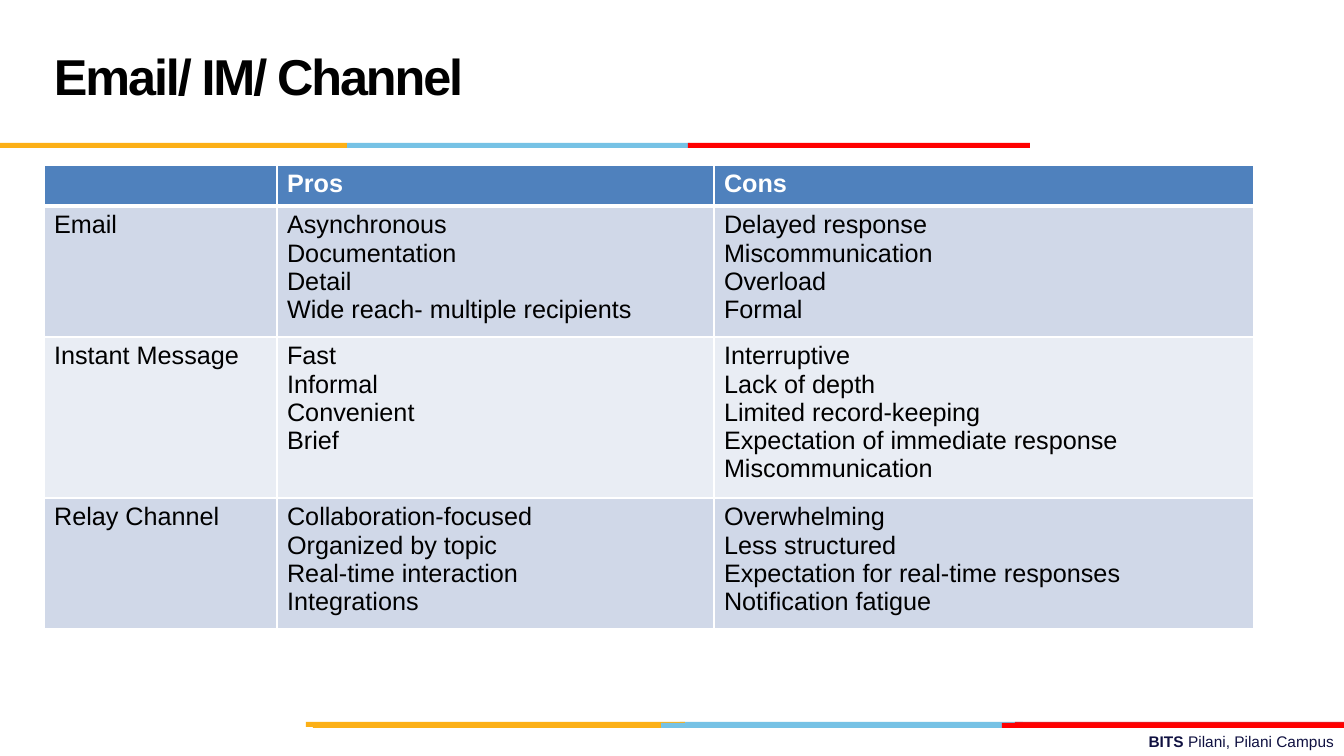
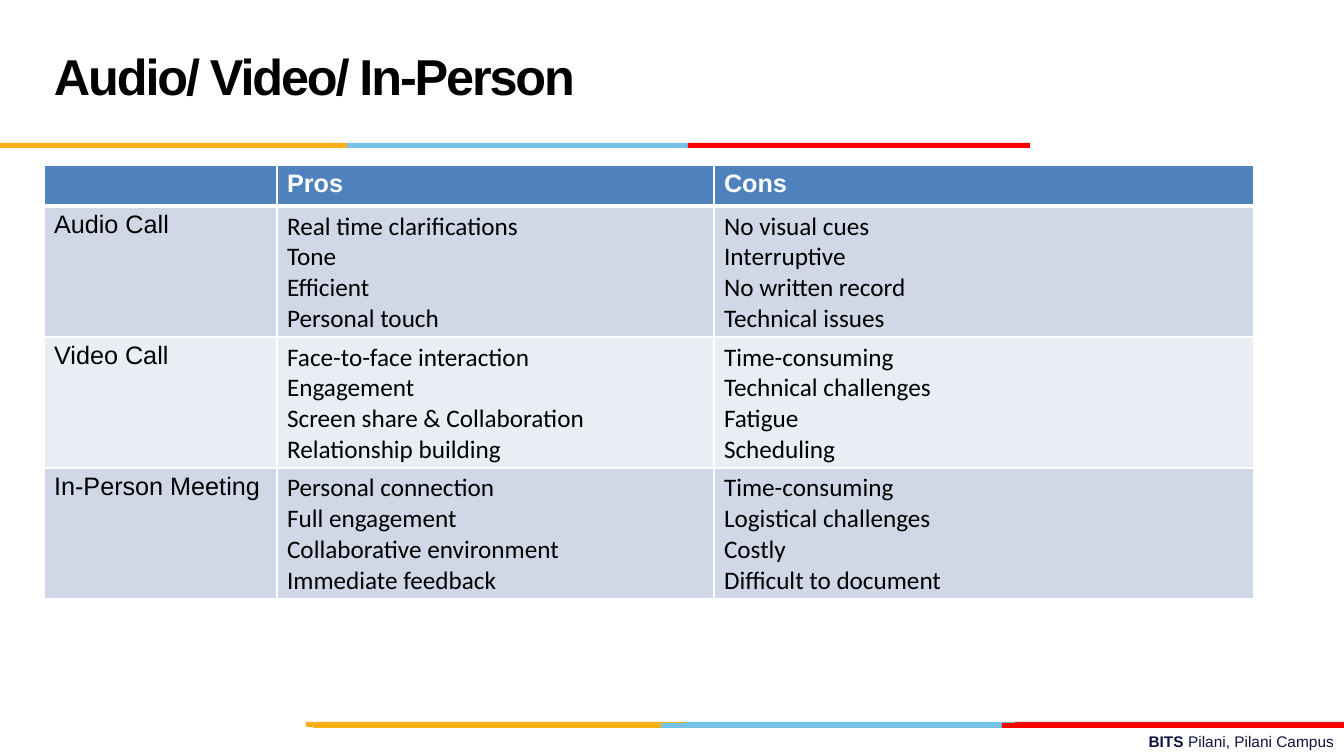
from dataclasses import dataclass

from lxml import etree
from pptx import Presentation
from pptx.dml.color import RGBColor
from pptx.enum.shapes import MSO_SHAPE as Shape
from pptx.enum.text import MSO_ANCHOR as Anchor, PP_ALIGN as Align
from pptx.oxml.ns import qn
from pptx.util import Emu, Pt


@dataclass(frozen=True)
class Theme:
    yellow: str = "FCB017"
    blue: str = "76C2E5"
    red: str = "FF0000"
    dark_red: str = "E31C24"
    black: str = "000000"
    white: str = "FFFFFF"
    navy: str = "101141"
    header: str = "4F81BD"
    bands: tuple = ("D0D8E8", "E9EDF4")
    font: str = "Arial"
    title_size: int = 36
    cell_size: int = 18
    footer_size: int = 11
    title_tracking: int = -150


THEME = Theme()
EMU_PER_PX = 914400 / 100.8
SLIDE_SIZE = (1344, 756)

# Stripe layers from back to front: left, width, colour
RULE_HEIGHT = 5
RULES = [
    (722, [(680, 343, THEME.blue), (1015, 329, THEME.dark_red), (306, 379, THEME.yellow)]),
    (723, [(661, 343, THEME.blue), (313, 348, THEME.yellow), (1002, 342, THEME.red)]),
    (143, [(347, 343, THEME.blue), (0, 347, THEME.yellow), (688, 342, THEME.red)]),
]
FOOTER = [("BITS ", True), ("Pilani, Pilani Campus", False)]
FOOTER_BOX = (482, 727, 862, 29)
TITLE_BOX = (44, 17, 930, 126)

TABLE_LEFT, TABLE_TOP = 44, 165
COLUMN_WIDTHS = (233, 437, 540)
HEADER_HEIGHT = 41
HEADINGS = ("", "Pros", "Cons")

# Each row: medium, pros, cons, height
SLIDES = [
    {
        "title": "Email/ IM/ Channel",
        "list_font": "Arial",
        "rows": [
            ("Email",
             ["Asynchronous", "Documentation", "Detail", "Wide reach- multiple recipients"],
             ["Delayed response", "Miscommunication", "Overload", "Formal"], 131),
            ("Instant Message",
             ["Fast", "Informal", "Convenient", "Brief"],
             ["Interruptive", "Lack of depth", "Limited record-keeping",
              "Expectation of immediate response", "Miscommunication"], 161),
            ("Relay Channel",
             ["Collaboration-focused", "Organized by topic", "Real-time interaction",
              "Integrations"],
             ["Overwhelming", "Less structured", "Expectation for real-time responses",
              "Notification fatigue"], 131),
        ],
    },
    {
        "title": "Audio/ Video/ In-Person",
        "list_font": "Calibri",
        "rows": [
            ("Audio Call",
             ["Real time clarifications", "Tone", "Efficient", "Personal touch"],
             ["No visual cues", "Interruptive", "No written record", "Technical issues"], 131),
            ("Video Call",
             ["Face-to-face interaction", "Engagement", "Screen share & Collaboration",
              "Relationship building"],
             ["Time-consuming", "Technical challenges", "Fatigue", "Scheduling"], 131),
            ("In-Person Meeting",
             ["Personal connection", "Full engagement", "Collaborative environment",
              "Immediate feedback"],
             ["Time-consuming", "Logistical challenges", "Costly", "Difficult to document"], 131),
        ],
    },
]


def px(length):
    return Emu(round(length * EMU_PER_PX))


def rgb(colour):
    return RGBColor.from_string(colour)


def add_run(paragraph, text, size, colour, bold=False, font=THEME.font):
    run = paragraph.add_run()
    run.text = text
    run.font.name = font
    run.font.size = Pt(size)
    run.font.bold = bold
    run.font.color.rgb = rgb(colour)
    return run


def add_frame(slide, box, anchor):
    frame = slide.shapes.add_textbox(*map(px, box)).text_frame
    frame.word_wrap = True
    frame.vertical_anchor = anchor
    return frame


def add_footer(slide):
    line = add_frame(slide, FOOTER_BOX, Anchor.TOP).paragraphs[0]
    line.alignment = Align.RIGHT
    for text, bold in FOOTER:
        add_run(line, text, THEME.footer_size, THEME.navy, bold)


def add_rules(slide):
    for top, stripes in RULES:
        for left, width, colour in stripes:
            stripe = slide.shapes.add_shape(
                Shape.RECTANGLE, px(left), px(top), px(width), px(RULE_HEIGHT))
            stripe.shadow.inherit = False
            stripe.fill.solid()
            stripe.fill.fore_color.rgb = rgb(colour)
            stripe.line.fill.background()


def add_title(slide, title):
    line = add_frame(slide, TITLE_BOX, Anchor.MIDDLE).paragraphs[0]
    line.line_spacing = Pt(THEME.title_size)
    run = add_run(line, title, THEME.title_size, THEME.black, True)
    run.font._element.set("spc", str(THEME.title_tracking))


def set_borders(cell, top, bottom):
    """Draw white borders; the side widths are 1 pt."""
    properties = cell._tc.get_or_add_tcPr()
    edges = (("a:lnL", 1), ("a:lnR", 1), ("a:lnT", top), ("a:lnB", bottom))
    for position, (tag, width) in enumerate(edges):
        edge = etree.Element(qn(tag), w=str(Pt(width)))
        fill = etree.SubElement(edge, qn("a:solidFill"))
        etree.SubElement(fill, qn("a:srgbClr"), val=THEME.white)
        properties.insert(position, edge)


def fill_cell(cell, lines, background, colour, bold, font):
    cell.fill.solid()
    cell.fill.fore_color.rgb = rgb(background)
    cell.margin_bottom = px(2)
    frame = cell.text_frame
    for index, text in enumerate(lines):
        paragraph = frame.add_paragraph() if index else frame.paragraphs[0]
        add_run(paragraph, text, THEME.cell_size, colour, bold, font)


def add_comparison(slide, rows, list_font):
    heights = [HEADER_HEIGHT] + [row[-1] for row in rows]
    table = slide.shapes.add_table(
        len(heights), len(COLUMN_WIDTHS), px(TABLE_LEFT), px(TABLE_TOP),
        px(sum(COLUMN_WIDTHS)), px(sum(heights))).table
    for column, width in zip(table.columns, COLUMN_WIDTHS):
        column.width = px(width)
    for row, height in zip(table.rows, heights):
        row.height = px(height)

    for column, heading in enumerate(HEADINGS):
        cell = table.cell(0, column)
        fill_cell(cell, [heading] if heading else [], THEME.header, THEME.white, True, THEME.font)
        set_borders(cell, 1, 3)
    for number, (medium, pros, cons, _) in enumerate(rows, 1):
        band = THEME.bands[(number - 1) % 2]
        for column, lines in enumerate(([medium], pros, cons)):
            cell = table.cell(number, column)
            font = list_font if column else THEME.font
            fill_cell(cell, lines, band, THEME.black, False, font)
            set_borders(cell, 3 if number == 1 else 1, 1)


def main():
    deck = Presentation()
    deck.slide_width, deck.slide_height = map(px, SLIDE_SIZE)
    for content in SLIDES:
        slide = deck.slides.add_slide(deck.slide_layouts[6])
        add_footer(slide)
        add_rules(slide)
        add_comparison(slide, content["rows"], content["list_font"])
        add_title(slide, content["title"])
    deck.save("out.pptx")


if __name__ == "__main__":
    main()
